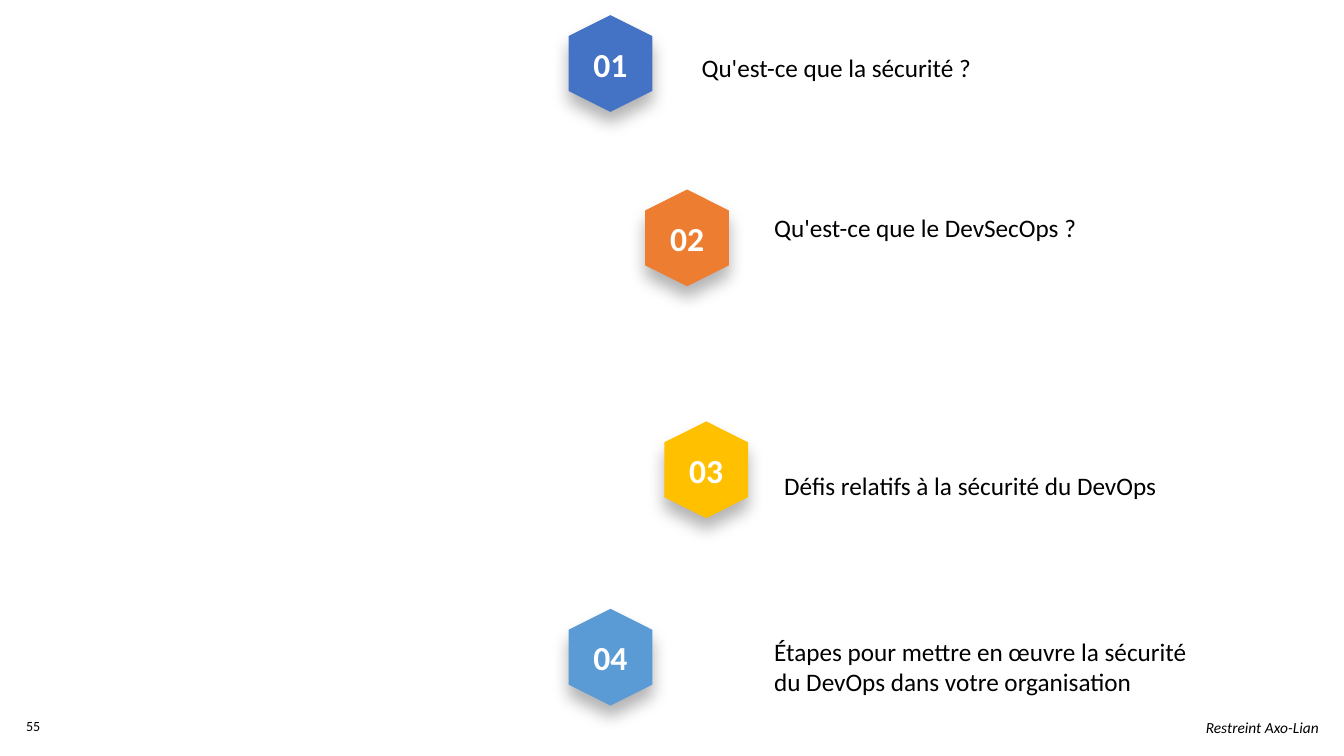
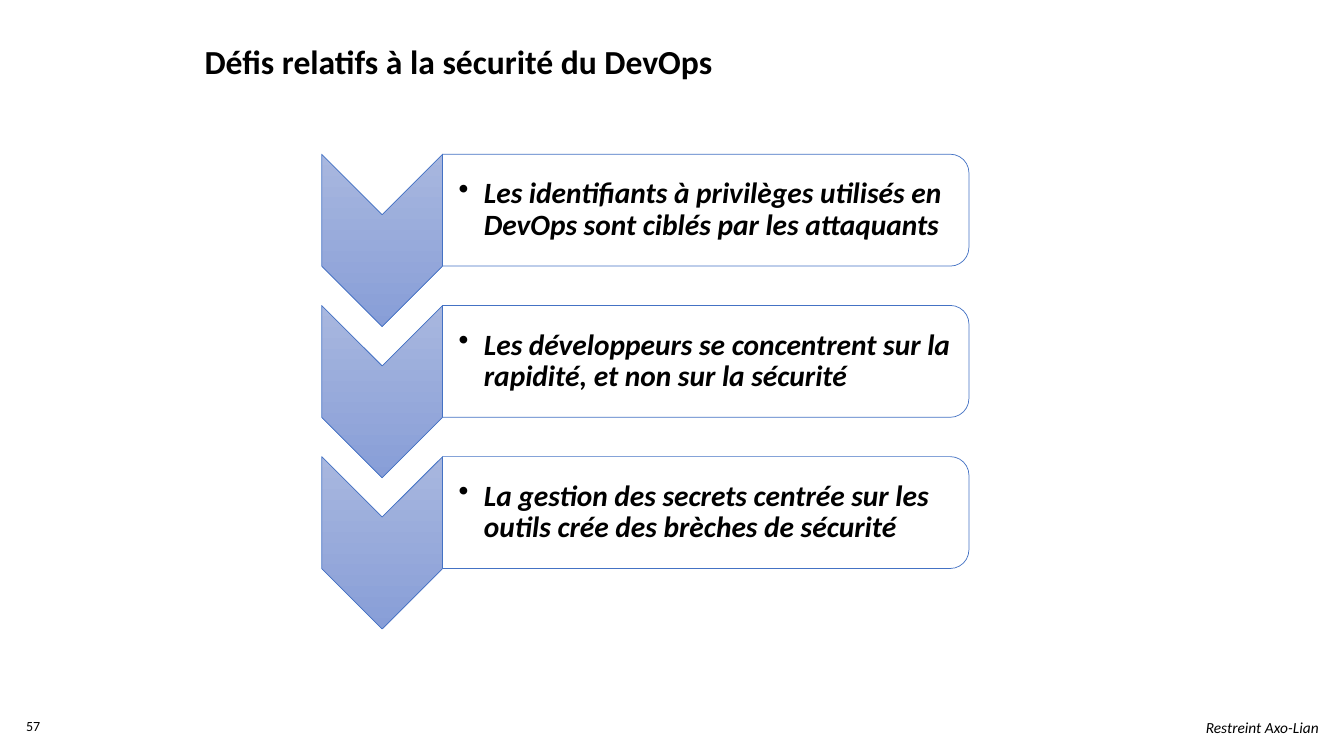
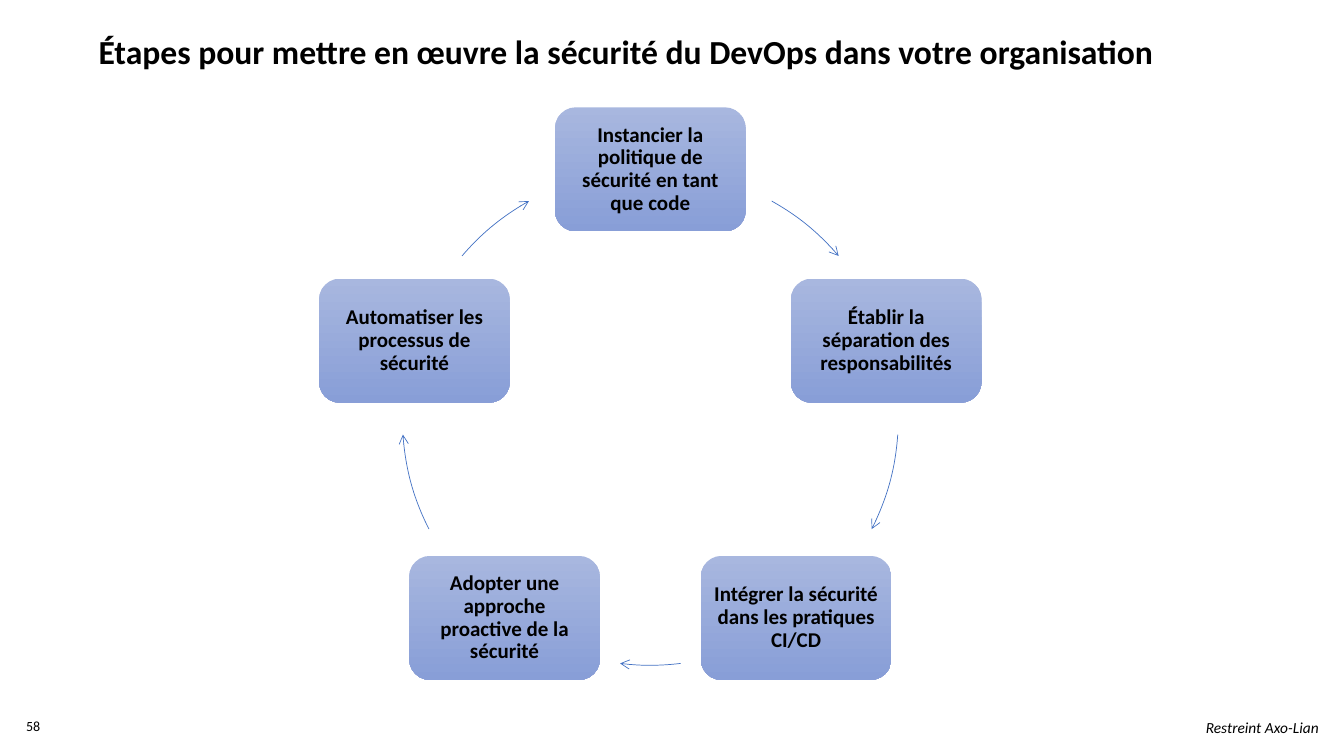
from collections import namedtuple
from math import cos, radians, sin

from lxml.etree import SubElement
from pptx import Presentation
from pptx.dml.color import RGBColor
from pptx.enum.shapes import MSO_SHAPE
from pptx.enum.text import MSO_ANCHOR, PP_ALIGN
from pptx.oxml.ns import qn
from pptx.util import Emu, Pt

# Shared style
PX = 9144  # 100 px to the inch
FONT = "Calibri"
COLORS = {
    "text": "000000", "white": "FFFFFF", "line": "4472C4",
    "light": "A8B7DF", "dark": "889ED7",
    "blue": "4472C4", "orange": "ED7D31", "gold": "FFC000", "sky": "5B9BD5",
}
FORMATS = {
    "title": {"size": Pt(24), "bold": True},
    "label": {"size": Pt(18)},
    "number": {"size": Pt(24), "bold": True},
    "bullet": {"size": Pt(21), "bold": True, "italic": True},
    "node": {"size": Pt(15), "bold": True},
    "footer": {"size": Pt(11), "italic": True},
    "page": {"size": Pt(10)},
}
Box = namedtuple("Box", "left top width height")


def px(length):
    return Emu(round(length * PX))


def color(name):
    return RGBColor.from_string(COLORS[name])


# Basic parts
def write(frame, text, style, ink="text", align=PP_ALIGN.LEFT, anchor=MSO_ANCHOR.TOP,
          insets=(10, 5, 10, 5), spacing=None, bullet=False):
    frame.word_wrap = True
    frame.vertical_anchor = anchor
    for side, inset in zip(("left", "top", "right", "bottom"), insets):
        setattr(frame, f"margin_{side}", px(inset))
    para = frame.paragraphs[0]
    para.alignment = align
    if spacing:
        para.line_spacing = spacing
    if bullet:
        properties = para._p.get_or_add_pPr()
        properties.set("marL", str(px(25)))
        properties.set("indent", str(px(-25)))
        SubElement(properties, qn("a:buChar")).set("char", "•")
    span = para.add_run()
    span.text = text
    span.font.name = FONT
    span.font.color.rgb = color(ink)
    for name, value in FORMATS[style].items():
        setattr(span.font, name, value)


def add_text(page, box, text, style, **options):
    frame = page.shapes.add_textbox(*map(px, box)).text_frame
    write(frame, text, style, **options)


def add_preset(page, kind, box, fill=None, line=None, turn=0):
    """Place a preset so that it covers the box once turned."""
    left, top, width, height = box
    if turn in (90, 270):
        shift = (width - height) / 2
        left, top, width, height = left + shift, top - shift, height, width
    shape = page.shapes.add_shape(kind, px(left), px(top), px(width), px(height))
    shape.rotation = turn
    shape.shadow.inherit = False
    if fill == "gradient":
        shape.fill.gradient()
        shape.fill.gradient_angle = 270
        for stop, name in zip(shape.fill.gradient_stops, ("light", "dark")):
            stop.color.rgb = color(name)
        shape._element.spPr.find(qn("a:gradFill")).set("rotWithShape", "0")
    elif fill:
        shape.fill.solid()
        shape.fill.fore_color.rgb = color(fill)
    else:
        shape.fill.background()
    if line:
        shape.line.color.rgb = color(line)
        shape.line.width = Pt(0.5)
    else:
        shape.line.fill.background()
    return shape


def add_drop_shadow(shape):
    effects = shape._element.spPr.find(qn("a:effectLst"))
    shadow = SubElement(effects, qn("a:outerShdw"), blurRad=str(Pt(12)), dist=str(Pt(8)),
                        dir="5400000", algn="t", rotWithShape="0")
    tint = SubElement(shadow, qn("a:srgbClr"), val=COLORS["text"])
    SubElement(tint, qn("a:alpha"), val="30000")


def add_page(deck, number):
    page = deck.slides.add_slide(deck.slide_layouts[6])
    add_text(page, Box(1101, 707, 217, 29), "Restreint Axo-Lian", "footer", align=PP_ALIGN.RIGHT)
    add_text(page, Box(16, 706, 57, 29), str(number), "page", anchor=MSO_ANCHOR.MIDDLE)
    return page


# Agenda
def add_agenda_item(page, box, number, fill, label_box, label):
    hexagon = add_preset(page, MSO_SHAPE.HEXAGON, box, fill, turn=270)
    add_drop_shadow(hexagon)
    write(hexagon.text_frame, f"{number:02}", "number", ink="white",
          align=PP_ALIGN.CENTER, anchor=MSO_ANCHOR.MIDDLE)
    hexagon.text_frame._txBody.bodyPr.set("vert", "vert")
    add_text(page, label_box, label, "label")


def build_agenda(deck):
    page = add_page(deck, 55)
    items = [
        (564, 15, "blue", Box(686, 47, 509, 64), "Qu'est-ce que la sécurité ?"),
        (640, 188, "orange", Box(758, 206, 505, 40), "Qu'est-ce que le DevSecOps ?"),
        (659, 418, "gold", Box(768, 462, 517, 64), "Défis relatifs à la sécurité du DevOps"),
        (564, 604, "sky", Box(758, 626, 440, 71),
         "Étapes pour mettre en œuvre la sécurité du DevOps dans votre organisation"),
    ]
    for number, (left, top, fill, label_box, label) in enumerate(items, 1):
        add_agenda_item(page, Box(left, top, 83, 96), number, fill, label_box, label)


# Challenges
def add_challenge(page, box, text):
    chevron_width, panel_height = 120, 111
    add_preset(page, MSO_SHAPE.CHEVRON, Box(box.left, box.top, chevron_width, box.height),
               "gradient", "line", turn=90)
    panel = Box(box.left + chevron_width, box.top, box.width - chevron_width, panel_height)
    add_preset(page, MSO_SHAPE.ROUND_2_SAME_RECTANGLE, panel, "white", "line", turn=90)
    text_box = Box(panel.left, panel.top + 5, panel.width - 5, panel.height - 10)
    add_text(page, text_box, text, "bullet", anchor=MSO_ANCHOR.MIDDLE,
             insets=(16, 1, 1, 1), spacing=0.9, bullet=True)


def build_challenges(deck):
    page = add_page(deck, 57)
    add_text(page, Box(193, 36, 572, 50), "Défis relatifs à la sécurité du DevOps", "title")
    challenges = [
        "Les identifiants à privilèges utilisés en DevOps sont ciblés par les attaquants",
        "Les développeurs se concentrent sur la rapidité, et non sur la sécurité",
        "La gestion des secrets centrée sur les outils crée des brèches de sécurité",
    ]
    for row, text in enumerate(challenges):
        add_challenge(page, Box(319, 153 + 150 * row, 642, 171), text)


# Cycle of steps
def add_cycle(page, box, steps, arcs):
    """Centre the steps on the circle inside the box, with arrows between."""
    radius = box.width / 2
    node_width, node_height = 189, 123
    for index, (step, (start, end)) in enumerate(zip(steps, arcs)):
        angle = radians(360 / len(steps) * index - 90)
        left = box.left + radius * (1 + cos(angle)) - node_width / 2
        top = box.top + radius * (1 + sin(angle)) - node_height / 2
        node = add_preset(page, MSO_SHAPE.ROUNDED_RECTANGLE,
                          Box(left, top, node_width, node_height), "gradient")
        write(node.text_frame, step, "node", align=PP_ALIGN.CENTER,
              anchor=MSO_ANCHOR.MIDDLE, insets=(6, 6, 6, 6), spacing=0.9)
        arrow = add_preset(page, MSO_SHAPE.ARC, box, line="line")
        for position, degrees in enumerate((start, end)):
            arrow.adjustments[position] = degrees * 0.6
        SubElement(arrow._element.spPr.find(qn("a:ln")), qn("a:tailEnd"), type="arrow")


def build_steps(deck):
    page = add_page(deck, 58)
    add_text(page, Box(88, 26, 1104, 50),
             "Étapes pour mettre en œuvre la sécurité du DevOps dans votre organisation", "title")
    steps = [
        "Instancier la politique de sécurité en tant que code",
        "Établir la séparation des responsabilités",
        "Intégrer la sécurité dans les pratiques CI/CD",
        "Adopter une approche proactive de la sécurité",
        "Automatiser les processus de sécurité",
    ]
    arcs = [(299.3, 319.4), (4, 26.8), (83, 97), (153.2, 176), (220.6, 240.7)]
    add_cycle(page, Box(399, 168, 492, 492), steps, arcs)


def main():
    deck = Presentation()
    deck.slide_width, deck.slide_height = px(1333), px(750)
    for build in (build_agenda, build_challenges, build_steps):
        build(deck)
    deck.save("out.pptx")


if __name__ == "__main__":
    main()
